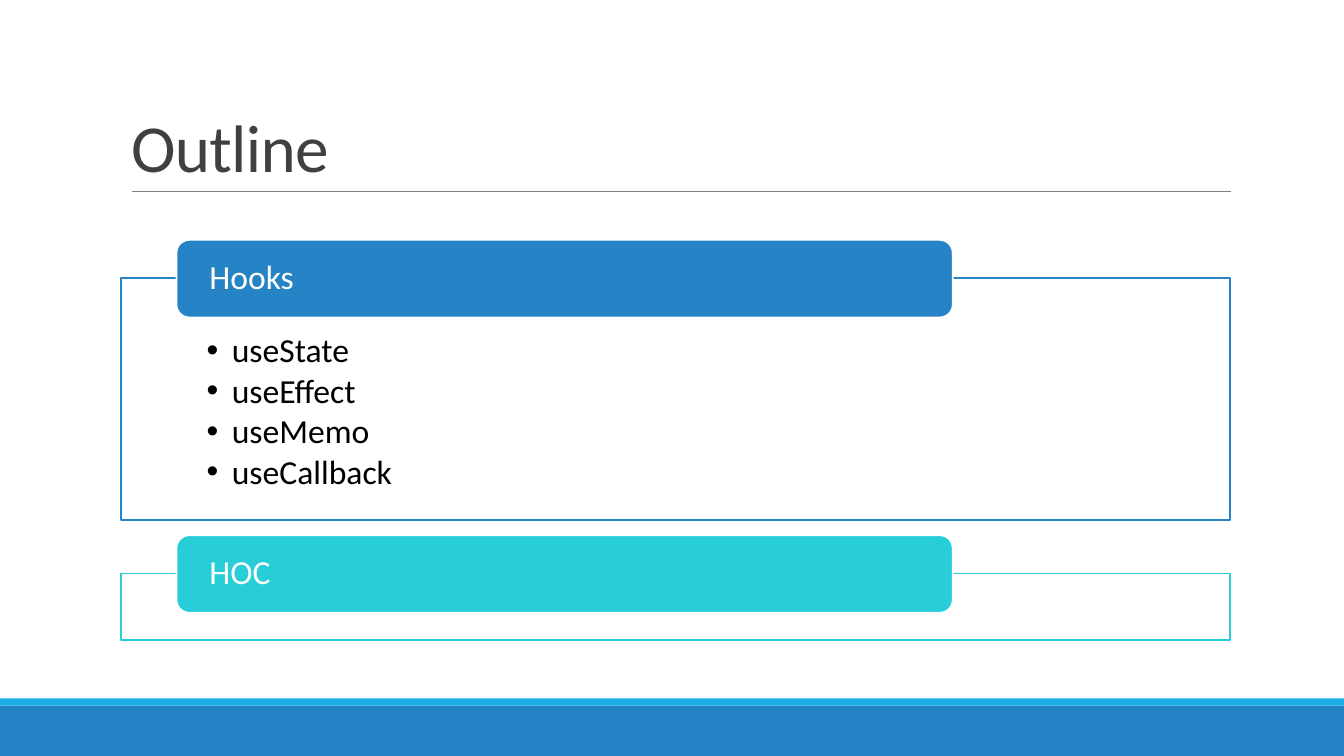
from lxml.etree import SubElement
from pptx import Presentation
from pptx.dml.color import RGBColor
from pptx.enum.shapes import MSO_CONNECTOR as Connector, MSO_SHAPE as Shape
from pptx.enum.text import MSO_ANCHOR as Anchor, MSO_AUTO_SIZE as AutoSize, PP_ALIGN as Align
from pptx.oxml.ns import qn
from pptx.util import Inches, Pt

FONT = "Calibri"
BLUE, SKY, TEAL, WHITE = "2683C6", "1CADE4", "27CED7", "FFFFFF"
SECTIONS = [
    ("Hooks", BLUE, 2.76, 2.4, ["useState", "useEffect", "useMemo", "useCallback"]),
    ("HOC", TEAL, 5.69, 0.66, []),
]


def color(value):
    """Turn a hex string into a colour."""
    return RGBColor.from_string(value)


def add_box(page, kind, left, top, width, height, fill, line=None):
    """Add a flat preset shape with an optional outline."""
    box = page.shapes.add_shape(kind, Inches(left), Inches(top), Inches(width), Inches(height))
    box.shadow.inherit = False
    box.fill.solid()
    box.fill.fore_color.rgb = color(fill)
    if line:
        box.line.color.rgb = color(line)
        box.line.width = Pt(1.25)
    else:
        box.line.fill.background()
    return box


def set_margins(frame, side, top, bottom):
    """Set the inner margins of a text frame and let it wrap."""
    frame.word_wrap = True
    frame.margin_left = frame.margin_right = Inches(side)
    frame.margin_top, frame.margin_bottom = Inches(top), Inches(bottom)


def add_text(para, text, size, ink, spacing=0.9):
    """Write one left-aligned run and return it."""
    para.alignment = Align.LEFT
    para.line_spacing = spacing
    span = para.add_run()
    span.text = text
    span.font.name = FONT
    span.font.size = Pt(size)
    span.font.color.rgb = color(ink)
    return span


def add_bullet(para):
    """Give a paragraph a hanging bullet."""
    para.space_after = Pt(3)
    properties = para._p.get_or_add_pPr()
    properties.set("marL", str(Inches(0.25)))
    properties.set("indent", str(Inches(-0.25)))
    SubElement(properties, qn("a:buFont"), typeface="Arial")
    SubElement(properties, qn("a:buChar"), char="•")


def add_title(page, text, left, top, width, height):
    """Place the title and the thin rule along its bottom edge."""
    title = page.shapes.title
    title.left, title.top = Inches(left), Inches(top)
    title.width, title.height = Inches(width), Inches(height)
    frame = title.text_frame
    frame.auto_size = AutoSize.NONE
    frame.vertical_anchor = Anchor.BOTTOM
    span = add_text(frame.paragraphs[0], text, 48, "404040", 0.85)
    span.font._element.set("spc", "-50")
    bottom = Inches(top + height)
    rule = page.shapes.add_connector(
        Connector.STRAIGHT, Inches(left + 0.11), bottom, Inches(left + width + 0.01), bottom)
    rule.line.color.rgb = color("808080")
    rule.line.width = Pt(0.5)
    SubElement(rule._element.spPr, qn("a:effectLst"))


def add_section(page, heading, accent, items, left, top, width, height):
    """Draw an outlined panel with its heading bar and bulleted items."""
    panel = add_box(page, Shape.RECTANGLE, left, top, width, height, WHITE, accent)
    fill_color = panel._element.spPr.find(qn("a:solidFill"))[0]
    SubElement(fill_color, qn("a:alpha"), val="90000")
    if items:
        frame = panel.text_frame
        set_margins(frame, 0.85, 0.55, 0.19)
        frame.vertical_anchor = Anchor.TOP
        for index, item in enumerate(items):
            para = frame.add_paragraph() if index else frame.paragraphs[0]
            add_text(para, item, 24, "000000")
            add_bullet(para)
    bar = add_box(page, Shape.ROUNDED_RECTANGLE, left + 0.55, top - 0.38,
                  width * 0.7, 0.77, accent, WHITE)
    set_margins(bar.text_frame, 0.29, 0, 0)
    bar.text_frame.vertical_anchor = Anchor.MIDDLE
    add_text(bar.text_frame.paragraphs[0], heading, 24, WHITE)


def add_footer(page, top, width, height):
    """Draw the two-tone band across the bottom of the page."""
    add_box(page, Shape.RECTANGLE, 0, top + 0.07, width, height - 0.07, BLUE)
    add_box(page, Shape.RECTANGLE, 0, top, width, 0.07, SKY)


def main():
    """Build and save the outline slide."""
    deck = Presentation()
    deck.slide_width, deck.slide_height = Inches(13.33), Inches(7.5)
    page = deck.slides.add_slide(deck.slide_layouts[5])
    add_footer(page, 6.93, 13.33, 0.57)
    add_title(page, "Outline", 1.2, 0.31, 11, 1.59)
    for heading, accent, top, height, items in SECTIONS:
        add_section(page, heading, accent, items, 1.2, top, 11, height)
    deck.save("out.pptx")


if __name__ == "__main__":
    main()
